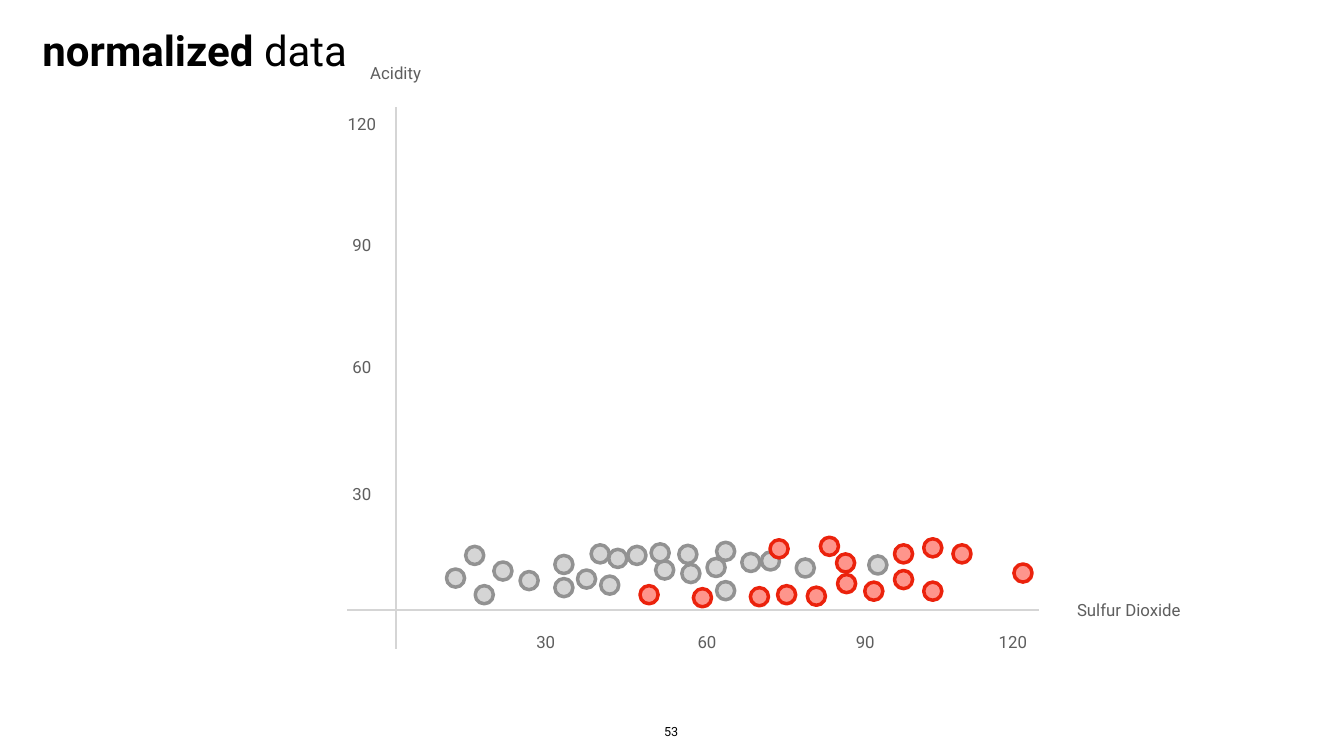
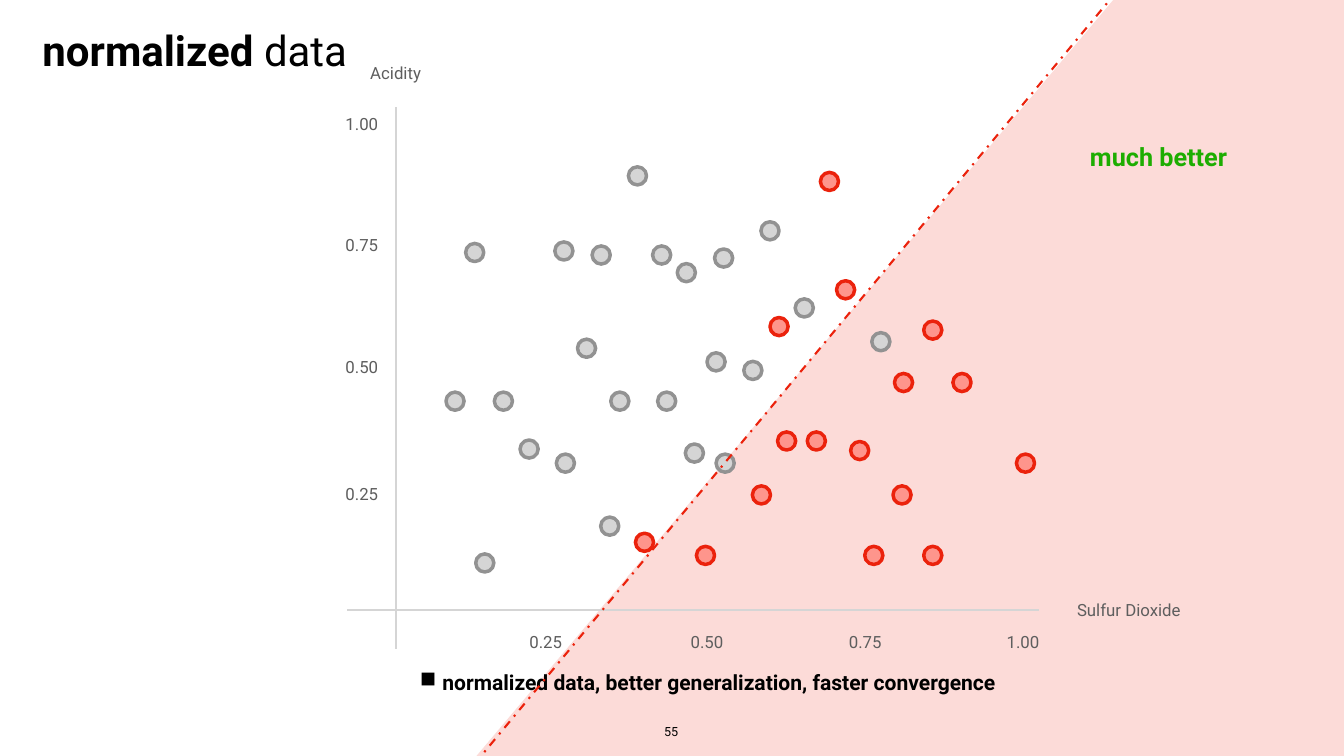
from lxml.etree import SubElement as Sub
from pptx import Presentation
from pptx.dml.color import RGBColor as RGB
from pptx.enum.dml import MSO_LINE as DASH
from pptx.enum.shapes import MSO_CONNECTOR as LINK, MSO_SHAPE as SHAPE
from pptx.enum.text import MSO_ANCHOR as ANCHOR, MSO_AUTO_SIZE as SIZE, PP_ALIGN as ALIGN
from pptx.oxml.ns import qn
from pptx.util import Inches, Pt

BLACK = RGB(0x00, 0x00, 0x00)
LABEL = RGB(0x5E, 0x5E, 0x5E)
AXIS = RGB(0xD5, 0xD5, 0xD5)
RING = RGB(0x92, 0x92, 0x92)
RED = RGB(0xEB, 0x22, 0x0C)
PINK = RGB(0xFE, 0x95, 0x8C)
ZONE = RGB(0xED, 0x22, 0x0D)
GREEN = RGB(0x1D, 0xAD, 0x01)

COLS, ROWS = 26.67, 15
WIDE, HIGH = Inches(COLS), Inches(ROWS)
PLOT = (6.89, 2.13, 13.72, 10.74)
ZERO = (0.96, 9.97)
DOT = 0.36
TICK_X = (2.98, 6.18, 9.32)
TICK_Y = (2.3, 4.82, 7.24, 9.65)
SPAN = {2: 0.5, 3: 0.87, 4: 0.77}

FONT = {"name": "Roboto", "size": Pt(24), "bold": False}
FRAME = {
    "margin_left": Inches(0.06),
    "margin_right": Inches(0.06),
    "margin_top": Inches(0.06),
    "margin_bottom": Inches(0.06),
    "vertical_anchor": ANCHOR.MIDDLE,
    "word_wrap": False,
    "auto_size": SIZE.SHAPE_TO_FIT_TEXT,
}
FIXED = {"word_wrap": True, "auto_size": SIZE.NONE}

RAW = {
    "page": 53,
    "ticks": ("30", "60", "90", "120"),
    "end": 12.25,
    "grey": [
        (1.19, 0.63), (1.57, 1.08), (2.13, 0.77), (4.25, 0.49), (3.34, 0.9), (1.76, 0.3),
        (3.34, 0.44), (2.65, 0.58), (4.41, 1.02), (4.79, 1.08), (5.34, 0.79), (4.06, 1.11),
        (6.55, 1.16), (7.44, 0.97), (6.55, 0.38), (5.86, 0.72), (3.79, 0.61), (7.05, 0.94),
        (6.36, 0.84), (8.13, 0.83), (5.25, 1.13), (5.8, 1.1), (9.57, 0.89),
    ],
    "red": [
        (9.49, 0.37), (10.66, 0.37), (7.76, 0.3), (10.08, 0.6), (8.35, 0.27), (8.93, 0.93),
        (8.95, 0.52), (10.08, 1.11), (11.24, 1.11), (10.66, 1.23), (12.45, 0.73),
        (5.03, 0.3), (6.09, 0.24), (7.22, 0.26), (8.61, 1.26), (7.61, 1.21),
    ],
}
SCALED = {
    "page": 55,
    "ticks": ("0.25", "0.50", "0.75", "1.00"),
    "end": 12.45,
    "grey": [
        (1.77, 0.93), (4.25, 1.66), (3.37, 2.91), (2.65, 3.19), (2.14, 4.14), (1.18, 4.14),
        (3.79, 5.19), (4.45, 4.14), (1.57, 7.09), (3.34, 7.12), (4.08, 7.04), (4.8, 8.61),
        (5.28, 7.04), (5.38, 4.14), (5.93, 3.11), (6.54, 2.91), (6.36, 4.92), (7.09, 4.75),
        (5.77, 6.69), (6.51, 6.98), (7.43, 7.52), (8.11, 5.99), (9.63, 5.32),
    ],
    "red": [
        (4.94, 1.34), (6.15, 1.08), (7.26, 2.28), (9.49, 1.08), (10.66, 1.08), (9.21, 3.16),
        (8.35, 3.35), (7.76, 3.35), (10.05, 2.28), (12.5, 2.91), (11.24, 4.51),
        (10.08, 4.51), (10.66, 5.55), (8.93, 6.35), (7.61, 5.62), (8.61, 8.5),
    ],
}


def apply(thing, values):
    for key, value in values.items():
        setattr(thing, key, value)


def across(col):
    return round(WIDE * col / COLS)


def down(row):
    return round(HIGH * row / ROWS)


def place(box):
    left, top, width, height = box
    return across(left), down(top), across(width), down(height)


def style(font, color, **more):
    apply(font, {**FONT, **more})
    font.color.rgb = color


def write(slide, box, text, color=LABEL, frame={}, **font):
    body = slide.shapes.add_textbox(*place(box)).text_frame
    apply(body, {**FRAME, **frame})
    para = body.paragraphs[0]
    para.alignment = ALIGN.CENTER
    run = para.add_run()
    run.text = text
    style(run.font, color, **font)
    return para


def center(slide, x, y, width, height, text, **font):
    return write(slide, (x - width / 2, y - height / 2, width, height), text, **font)


def rule(slide, start, end, color, dash=None):
    line = slide.shapes.add_connector(
        LINK.STRAIGHT, across(start[0]), down(start[1]), across(end[0]), down(end[1]))
    line.line.color.rgb = color
    apply(line.line, {"width": Pt(3), "dash_style": dash})
    Sub(line._element.spPr, qn("a:effectLst"))


def solid(slide, kind, box, fill):
    shape = slide.shapes.add_shape(kind, *place(box))
    shape.shadow.inherit = False
    shape.fill.solid()
    shape.fill.fore_color.rgb = fill
    return shape


def title(slide, box):
    para = write(slide, box, "normalized", BLACK, FIXED, size=Pt(60), bold=True)
    para.line_spacing = 1.2
    run = para.add_run()
    run.text = " data"
    style(run.font, BLACK, size=Pt(60))


def footer(slide, box, page):
    frame = {"vertical_anchor": ANCHOR.BOTTOM, "auto_size": SIZE.NONE}
    write(slide, box, str(page), BLACK, frame, size=Pt(18))


def dots(slide, x, y, points, fill, ring):
    for right, up in points:
        box = (x + right - DOT / 2, y - up - DOT / 2, DOT, DOT)
        dot = solid(slide, SHAPE.OVAL, box, fill)
        dot.line.color.rgb = ring
        dot.line.width = Pt(5)


def plot(slide, box, data):
    left, top, width, height = box
    x, y = left + ZERO[0], top + ZERO[1]
    rule(slide, (x, top + height), (x, top), AXIS)
    rule(slide, (left + width, y), (left, y), AXIS)
    dots(slide, x, y, data["grey"], AXIS, RING)
    dots(slide, x, y, data["red"], PINK, RED)
    for text, right, up in zip(data["ticks"], (*TICK_X, data["end"]), TICK_Y):
        span = SPAN[len(text)]
        center(slide, x + right, y + 0.63, span, 0.52, text)
        center(slide, x - 0.67, y - up, span, 0.52, text)
    center(slide, x, top - 0.68, 1.18, 0.5, "Acidity")
    center(slide, left + width + 1.79, y, 2.46, 0.52, "Sulfur Dioxide")


def zone(slide, box):
    area = solid(slide, SHAPE.RECTANGLE, box, ZONE)
    area.rotation = 40.1
    area.line.fill.background()
    color = area._element.spPr.find(qn("a:solidFill"))[0]
    Sub(color, qn("a:alpha"), val="16000")


def bullet(slide, box, text):
    frame = {**FIXED, "vertical_anchor": ANCHOR.TOP}
    para = write(slide, box, text, BLACK, frame, size=Pt(30.1), bold=True)
    para.alignment = ALIGN.LEFT
    props = para._p.get_or_add_pPr()
    indent = Inches(0.45)
    props.set("marL", str(indent))
    props.set("indent", str(-indent))
    tint = Sub(props, qn("a:buClr"))
    Sub(tint, qn("a:srgbClr"), val=str(BLACK))
    Sub(props, qn("a:buSzPct"), val="105000")
    Sub(props, qn("a:buChar"), char="■")


def common(slide, data):
    title(slide, (0.47, 0.46, 6.79, 0.84))
    plot(slide, PLOT, data)
    footer(slide, (13.02, 14.31, 0.6, 0.41), data["page"])


def main():
    deck = Presentation()
    apply(deck, {"slide_width": WIDE, "slide_height": HIGH})
    blank = deck.slide_layouts[6]

    common(deck.slides.add_slide(blank), RAW)

    slide = deck.slides.add_slide(blank)
    zone(slide, (15.21, -1.26, 15.24, 24.42))
    common(slide, SCALED)
    write(slide, (21.48, 2.74, 3.02, 0.71), "much better", GREEN, size=Pt(36), bold=True)
    bullet(slide, (8.27, 13.22, 12.77, 0.71),
           "normalized data, better generalization, faster convergence")
    rule(slide, (9.13, 15.5), (22.27, -0.3), RED, DASH.DASH_DOT)

    deck.save("out.pptx")


if __name__ == "__main__":
    main()
